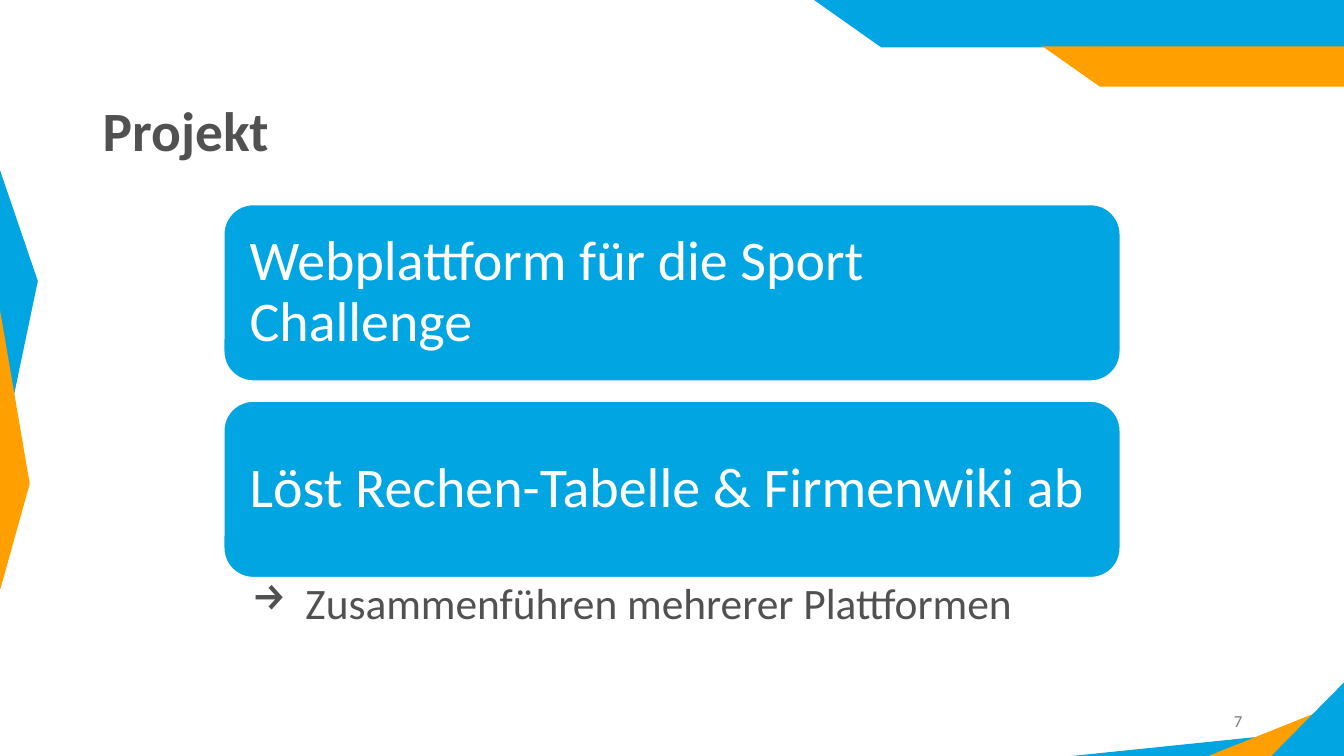
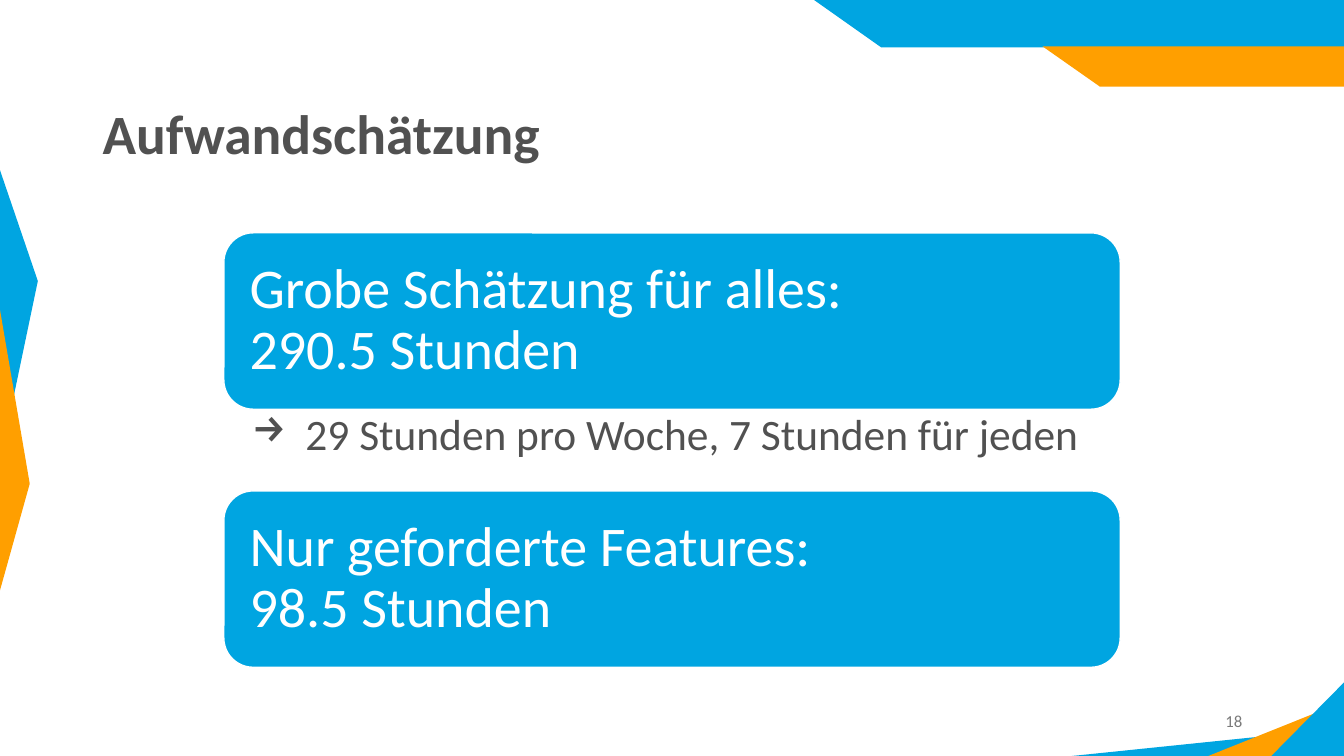
from lxml import etree
from pptx import Presentation
from pptx.dml.color import RGBColor
from pptx.enum import shapes, text
from pptx.oxml import ns
from pptx.util import Inches, Pt

COLORS = {
    "blue": "00A5E1",
    "orange": "FF9F00",
    "heading": "515151",
    "number": "7A7A7A",
    "white": "FFFFFF",
}
FONT = "Calibri"
RECT = shapes.MSO_SHAPE.RECTANGLE
TRIANGLE = shapes.MSO_SHAPE.ISOSCELES_TRIANGLE
ROUNDED = shapes.MSO_SHAPE.ROUNDED_RECTANGLE

# kind, (left, top, width, height), color, apex position, rotation
DECORATION = [
    (TRIANGLE, (10.63, 7.22, 2.72, 0.28), "blue", 1, 0),
    (RECT, (8.74, -0.01, 4.6, 0.48), "blue", None, 0),
    (TRIANGLE, (8.06, -0.01, 0.68, 0.48), "blue", 0, 180),
    (RECT, (10.91, 0.46, 2.44, 0.4), "orange", None, 0),
    (TRIANGLE, (10.34, 0.46, 0.57, 0.4), "orange", 0, 180),
    (TRIANGLE, (-1.28, 2.95, 2.93, 0.38), "blue", 0.38, 90),
    (TRIANGLE, (-1.27, 4.31, 2.83, 0.3), "orange", 0.62, 90),
    (TRIANGLE, (11.96, 6.96, 1.37, 0.55), "orange", 1, 0),
    (TRIANGLE, (12.6, 6.75, 0.75, 0.76), "blue", 1, 0),
]

CONTENT_LEFT, CONTENT_WIDTH = 2.22, 8.89
CARD_HEIGHT, NOTE_HEIGHT = 1.75, 0.8
NOTE_INDENT = 0.53


def rgb(color):
    return RGBColor.from_string(COLORS[color])


def apply(target, values):
    for attribute, value in values.items():
        setattr(target, attribute, value)


def add_filled(slide, kind, box, color):
    shape = slide.shapes.add_shape(kind, *map(Inches, box))
    shape.shadow.inherit = False
    shape.fill.solid()
    shape.fill.fore_color.rgb = rgb(color)
    shape.line.fill.background()
    return shape


def write(shape, words, size, color, bold=False, frame=None, paragraph=None):
    """Fill the shape with one paragraph; a newline becomes a line break."""
    text_frame = shape.text_frame
    apply(text_frame, {"word_wrap": True, **(frame or {})})
    line = text_frame.paragraphs[0]
    line.text = words
    apply(line, {"alignment": text.PP_ALIGN.LEFT, **(paragraph or {})})
    for run in line.runs:
        apply(run.font, {"name": FONT, "size": Pt(size), "bold": bold})
        run.font.color.rgb = rgb(color)
    return line


def add_text(slide, box, words, size, color, **formats):
    area = slide.shapes.add_textbox(*map(Inches, box))
    return write(area, words, size, color, **formats)


def add_decoration(slide):
    for kind, box, color, apex, rotation in DECORATION:
        shape = add_filled(slide, kind, box, color)
        shape.rotation = rotation
        if apex is not None:
            shape.adjustments[0] = apex


def add_title(slide, top, words):
    add_text(slide, (0.92, top, 11.5, 0.69), words, 39.6, "heading", bold=True,
             frame={"vertical_anchor": text.MSO_ANCHOR.MIDDLE},
             paragraph={"line_spacing": 0.9})


def add_slide_number(slide, number):
    add_text(slide, (9.42, 6.95, 3, 0.4), str(number), 12, "number",
             frame={"vertical_anchor": text.MSO_ANCHOR.MIDDLE},
             paragraph={"alignment": text.PP_ALIGN.RIGHT})


def add_card(slide, top, words):
    card = add_filled(slide, ROUNDED,
                      (CONTENT_LEFT, top, CONTENT_WIDTH, CARD_HEIGHT), "blue")
    card.line.color.rgb = rgb("white")
    card.line.width = Pt(1)
    sides = ("left", "top", "right", "bottom")
    frame = {f"margin_{side}": Inches(0.17) for side in sides}
    write(card, words, 40, "white",
          frame={"vertical_anchor": text.MSO_ANCHOR.MIDDLE, **frame},
          paragraph={"line_spacing": 0.9})


def add_note(slide, card_top, words):
    """Place an arrow-bulleted remark directly under a card."""
    box = (CONTENT_LEFT, card_top + CARD_HEIGHT, CONTENT_WIDTH, NOTE_HEIGHT)
    line = add_text(slide, box, words, 31, "heading",
                    frame={"margin_left": Inches(0.28),
                           "margin_right": Inches(0.24),
                           "margin_top": Inches(0.04),
                           "margin_bottom": Inches(0.04)},
                    paragraph={"line_spacing": 0.9})
    properties = line._p.get_or_add_pPr()
    properties.set("marL", str(Inches(NOTE_INDENT)))
    properties.set("indent", str(-Inches(NOTE_INDENT)))
    etree.SubElement(properties, ns.qn("a:buChar")).set("char", "→")


def add_content_slide(prs, number, title_top, title, cards):
    slide = prs.slides.add_slide(prs.slide_layouts[6])
    add_decoration(slide)
    add_title(slide, title_top, title)
    add_slide_number(slide, number)
    for top, words, note in cards:
        add_card(slide, top, words)
        if note:
            add_note(slide, top, note)


def main():
    prs = Presentation()
    apply(prs, {"slide_width": Inches(13.33), "slide_height": Inches(7.5)})
    add_content_slide(prs, 7, 0.98, "Projekt", [
        (2.03, "Webplattform für die Sport Challenge", None),
        (3.98, "Löst Rechen-Tabelle & Firmenwiki ab",
         "Zusammenführen mehrerer Plattformen"),
    ])
    add_content_slide(prs, 18, 1.01, "Aufwandschätzung", [
        (2.31, "Grobe Schätzung für alles:\n290.5 Stunden",
         "29 Stunden pro Woche, 7 Stunden für jeden"),
        (4.87, "Nur geforderte Features:\n98.5 Stunden", None),
    ])
    prs.save("out.pptx")


if __name__ == "__main__":
    main()
